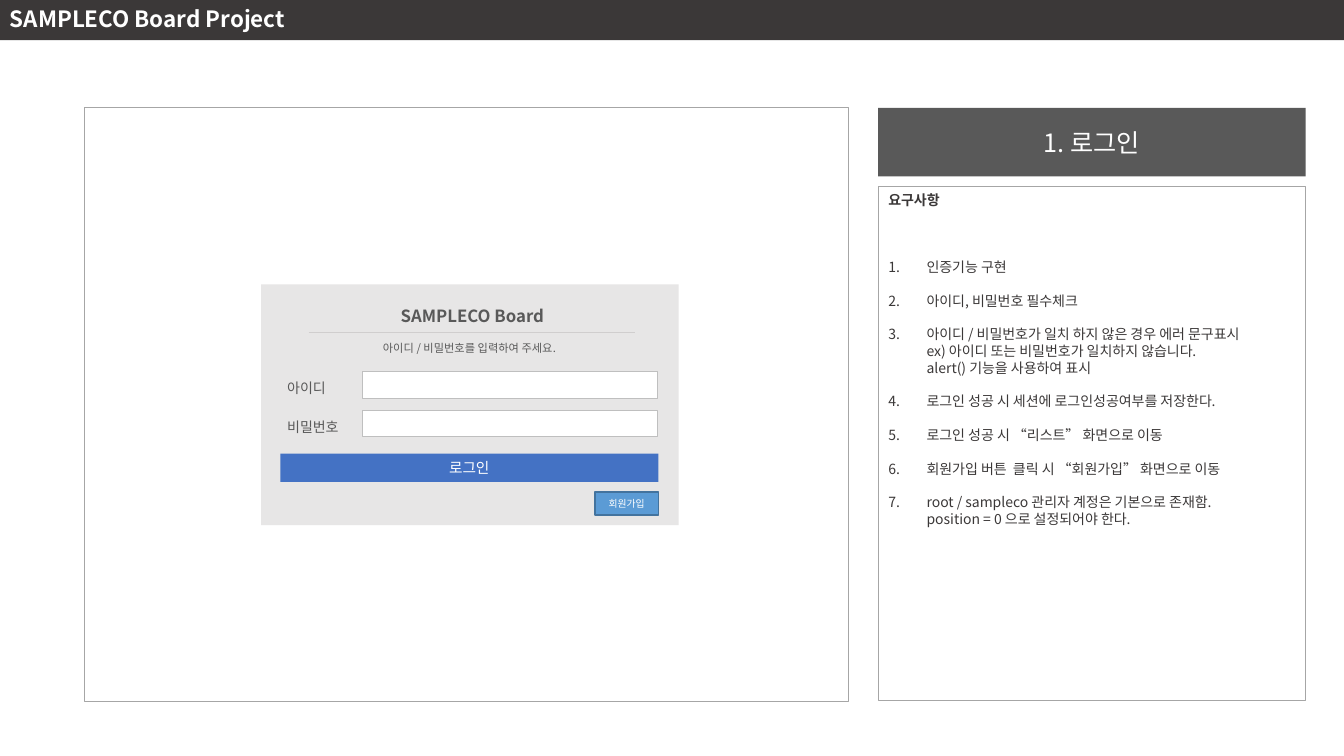
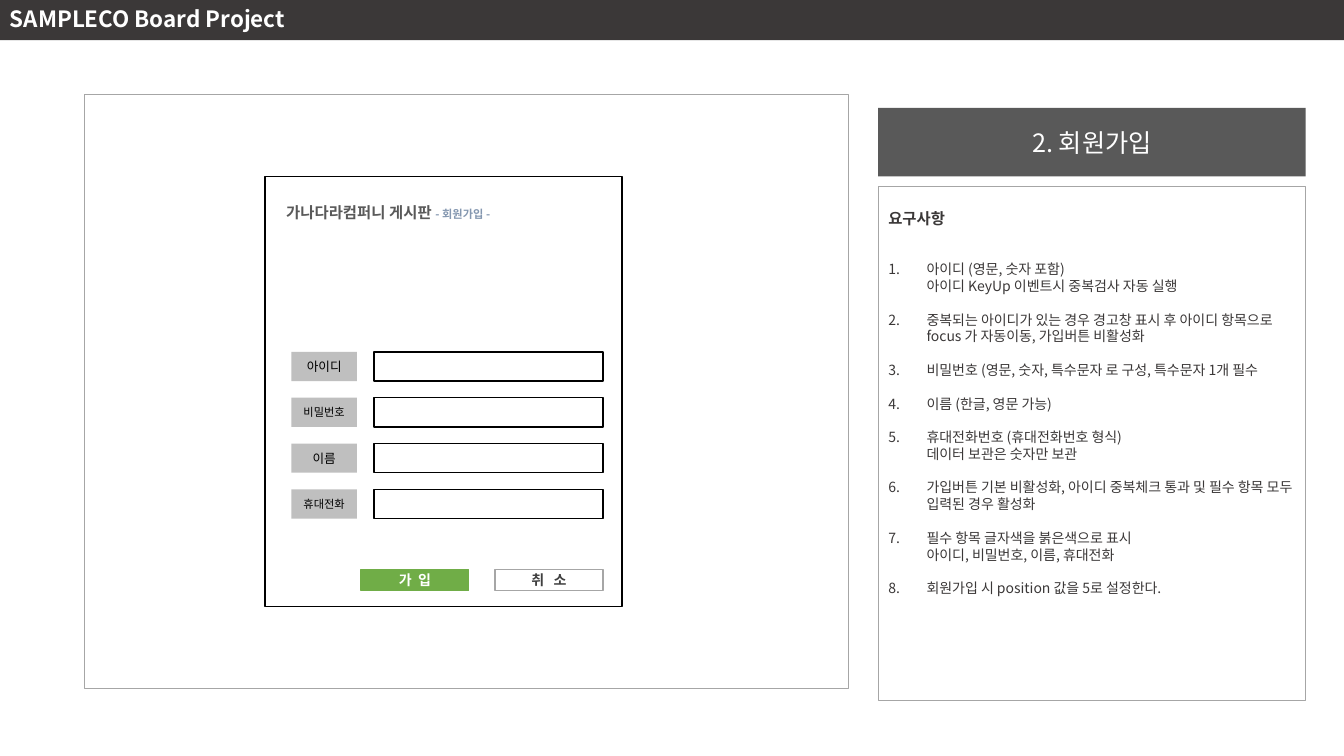
import pptx
import pptx.util
import pptx.dml.color
import pptx.enum.shapes
import pptx.enum.text
import pptx.oxml
import pptx.oxml.ns

Inches, Pt = pptx.util.Inches, pptx.util.Pt
ALIGN = pptx.enum.text.PP_ALIGN
ANCHOR = pptx.enum.text.MSO_ANCHOR
FONT = "Noto Sans CJK KR"

# Content
PROJECT = "SAMPLECO Board Project"
HEADING = "요구사항"
LOGIN_TITLE = "1. 로그인"
LOGIN_RULES = [
    "인증기능 구현",
    "아이디, 비밀번호 필수체크",
    "아이디 / 비밀번호가 일치 하지 않은 경우 에러 문구표시\v"
    "ex) 아이디 또는 비밀번호가 일치하지 않습니다.\valert() 기능을 사용하여 표시",
    "로그인 성공 시 세션에 로그인성공여부를 저장한다.",
    "로그인 성공 시 “리스트” 화면으로 이동",
    "회원가입 버튼  클릭 시 “회원가입” 화면으로 이동",
    "root / sampleco 관리자 계정은 기본으로 존재함.\vposition = 0 으로 설정되어야 한다.",
]
LOGIN_FIELDS = ["아이디", "비밀번호"]
JOIN_TITLE = "2. 회원가입"
JOIN_RULES = [
    "아이디 (영문, 숫자 포함)\v아이디 KeyUp 이벤트시 중복검사 자동 실행",
    "중복되는 아이디가 있는 경우 경고창 표시 후 아이디 항목으로 focus 가 자동이동, 가입버튼 비활성화",
    "비밀번호 (영문, 숫자, 특수문자 로 구성, 특수문자 1개 필수",
    "이름 (한글, 영문 가능)",
    "휴대전화번호 (휴대전화번호 형식)\v데이터 보관은 숫자만 보관",
    "가입버튼 기본 비활성화, 아이디 중복체크 통과 및 필수 항목 모두 입력된 경우 활성화",
    "필수 항목 글자색을 붉은색으로 표시\v아이디, 비밀번호, 이름, 휴대전화",
    "회원가입 시 position 값을 5로 설정한다.",
]
JOIN_FIELDS = [("아이디", 9), ("비밀번호", 8), ("이름", 9), ("휴대전화", 8)]
JOIN_BUTTONS = [("가  입", "FFFFFF", "70AD47", "70AD47"),
                ("취   소", "404040", None, "A6A6A6")]

# Shared colours
DARK, TITLE_GREY, TEXT_GREY = "3B3838", "595959", "595959"
WHITE, BLACK, BORDER, LABEL_GREY = "FFFFFF", "000000", "A6A6A6", "BFBFBF"


def colour(value):
    return pptx.dml.color.RGBColor.from_string(value)


def paint(box, fill=None, line=None, width=1):
    if fill:
        box.fill.solid()
        box.fill.fore_color.rgb = colour(fill)
    else:
        box.fill.background()
    if line:
        box.line.color.rgb = colour(line)
        box.line.width = Pt(width)
    else:
        box.line.fill.background()


def place(box, left, top, width, height):
    box.left, box.top = Inches(left), Inches(top)
    box.width, box.height = Inches(width), Inches(height)


def format_span(span, size, color, bold=False):
    span.font.name, span.font.size, span.font.bold = FONT, Pt(size), bold
    span.font.color.rgb = colour(color)
    east = pptx.oxml.parse_xml(
        f'<a:ea {pptx.oxml.ns.nsdecls("a")} typeface="{FONT}"/>')
    span.font._element.find(pptx.oxml.ns.qn("a:latin")).addnext(east)


def write(para, text, size, color, bold=False, align=ALIGN.LEFT, after=0):
    para.text = text
    para.alignment = align
    para.line_spacing = Pt(size * 1.2)
    para.space_before, para.space_after = Pt(0), Pt(after)
    for span in para.runs:
        format_span(span, size, color, bold)


def set_marker(para, tag, indent=0):
    properties = para._p.get_or_add_pPr()
    properties.set("marL", str(Inches(indent)))
    properties.set("indent", str(-Inches(indent)))
    properties.append(pptx.oxml.parse_xml(tag.replace(
        "/>", f' {pptx.oxml.ns.nsdecls("a")}/>')))


def frame_of(box, anchor, wrap=True, right=0.1, top=0.05):
    frame = box.text_frame
    frame.auto_size = pptx.enum.text.MSO_AUTO_SIZE.NONE
    frame.word_wrap, frame.vertical_anchor = wrap, anchor
    frame.margin_left, frame.margin_right = Inches(0.1), Inches(right)
    frame.margin_top, frame.margin_bottom = Inches(top), Inches(0.05)
    return frame


def add_box(page, area, fill=None, line=None, width=1, text=None, **style):
    box = page.shapes.add_shape(pptx.enum.shapes.MSO_SHAPE.RECTANGLE,
                                *map(Inches, area))
    box.shadow.inherit = False
    paint(box, fill, line, width)
    if text:
        frame = frame_of(box, ANCHOR.MIDDLE, wrap=False)
        write(frame.paragraphs[0], text, **{"align": ALIGN.CENTER, **style})
    return box


def add_text(page, area, text, **style):
    box = page.shapes.add_textbox(*map(Inches, area))
    para = frame_of(box, ANCHOR.TOP).paragraphs[0]
    write(para, text, **style)
    return para


def add_page(title, rules, screen_top, heading_size, heading_inset, heading_gap):
    """Project band, screen area, title and numbered requirements."""
    page = deck.slides.add_slide(deck.slide_layouts[1])
    add_box(page, (0.84, screen_top, 7.58, 5.89), WHITE, BORDER, 0.75)
    add_box(page, (0, -0.03, 13.33, 0.43), DARK, text=PROJECT, size=16,
            color=WHITE, bold=True, align=ALIGN.LEFT)

    heading = page.shapes.title
    place(heading, 8.71, 1.07, 4.24, 0.68)
    paint(heading, TITLE_GREY)
    write(frame_of(heading, ANCHOR.MIDDLE).paragraphs[0], title, 18, WHITE,
          align=ALIGN.CENTER)

    body = page.placeholders[1]
    place(body, 8.71, 1.85, 4.24, 5.1)
    paint(body, WHITE, BORDER, 0.5)
    frame = frame_of(body, ANCHOR.TOP, right=0.05, top=heading_inset)
    write(frame.paragraphs[0], HEADING, heading_size, DARK, bold=True,
          after=heading_gap)
    set_marker(frame.paragraphs[0], "<a:buNone/>")
    for rule in rules:
        para = frame.add_paragraph()
        write(para, rule, 10, DARK, after=12)
        set_marker(para, '<a:buAutoNum type="arabicPeriod"/>', 0.38)
    return page


deck = pptx.Presentation()
deck.slide_width, deck.slide_height = Inches(13.33), Inches(7.5)

# Login page
login = add_page(LOGIN_TITLE, LOGIN_RULES, 1.07, 10, 0.05, 36)
add_box(login, (2.59, 2.82, 4.14, 2.39), "E7E6E6")
add_text(login, (2.86, 2.98, 3.65, 0.3), "SAMPLECO Board", size=12,
         color=TEXT_GREY, bold=True, align=ALIGN.CENTER)
rule_line = login.shapes.add_connector(
    pptx.enum.shapes.MSO_CONNECTOR.STRAIGHT,
    *map(Inches, (3.06, 3.3, 6.3, 3.3)))
rule_line.line.color.rgb = colour("D0CECE")
rule_line.line.width = Pt(0.5)
rule_line._element.spPr.append(pptx.oxml.parse_xml(
    f'<a:effectLst {pptx.oxml.ns.nsdecls("a")}/>'))
add_text(login, (3.7, 3.34, 2.37, 0.24), "아이디 / 비밀번호를 입력하여 주세요.",
         size=8, color=TEXT_GREY)
for row, label in enumerate(LOGIN_FIELDS):
    top = 3.69 + 0.38 * row
    add_text(login, (2.75, top + 0.03, 0.95, 0.27), label, size=10,
             color=TEXT_GREY)
    add_box(login, (3.6, top, 2.92, 0.26), WHITE, "BFBFBF", 0.75)
add_box(login, (2.78, 4.5, 3.75, 0.28), "4472C4", text="로그인", size=10.5,
        color=WHITE)
add_box(login, (5.9, 4.88, 0.63, 0.23), "5B9BD5", "43739E", text="회원가입",
        size=7, color=WHITE)

# Sign-up page
join = add_page(JOIN_TITLE, JOIN_RULES, 0.94, 11, 0.22, 24)
add_box(join, (2.63, 1.75, 3.54, 4.27), line=BLACK)
board_name = add_text(join, (2.74, 1.97, 2.7, 0.29), "가나다라컴퍼니 게시판 ",
                      size=11, color=TEXT_GREY, bold=True)
subtitle = board_name.add_run()
subtitle.text = "- 회원가입 -"
format_span(subtitle, 8, "8497B0", bold=True)
for row, (label, size) in enumerate(JOIN_FIELDS):
    top = 3.49 + 0.455 * row
    add_box(join, (2.89, top, 0.65, 0.29), LABEL_GREY, text=label, size=size,
            color=BLACK)
    add_box(join, (3.71, top, 2.27, 0.29), line=BLACK)
for column, (label, color, fill, line) in enumerate(JOIN_BUTTONS):
    add_box(join, (3.58 + 1.33 * column, 5.65, 1.07, 0.21), fill, line,
            text=label, size=10, color=color, bold=True)

deck.save("out.pptx")
